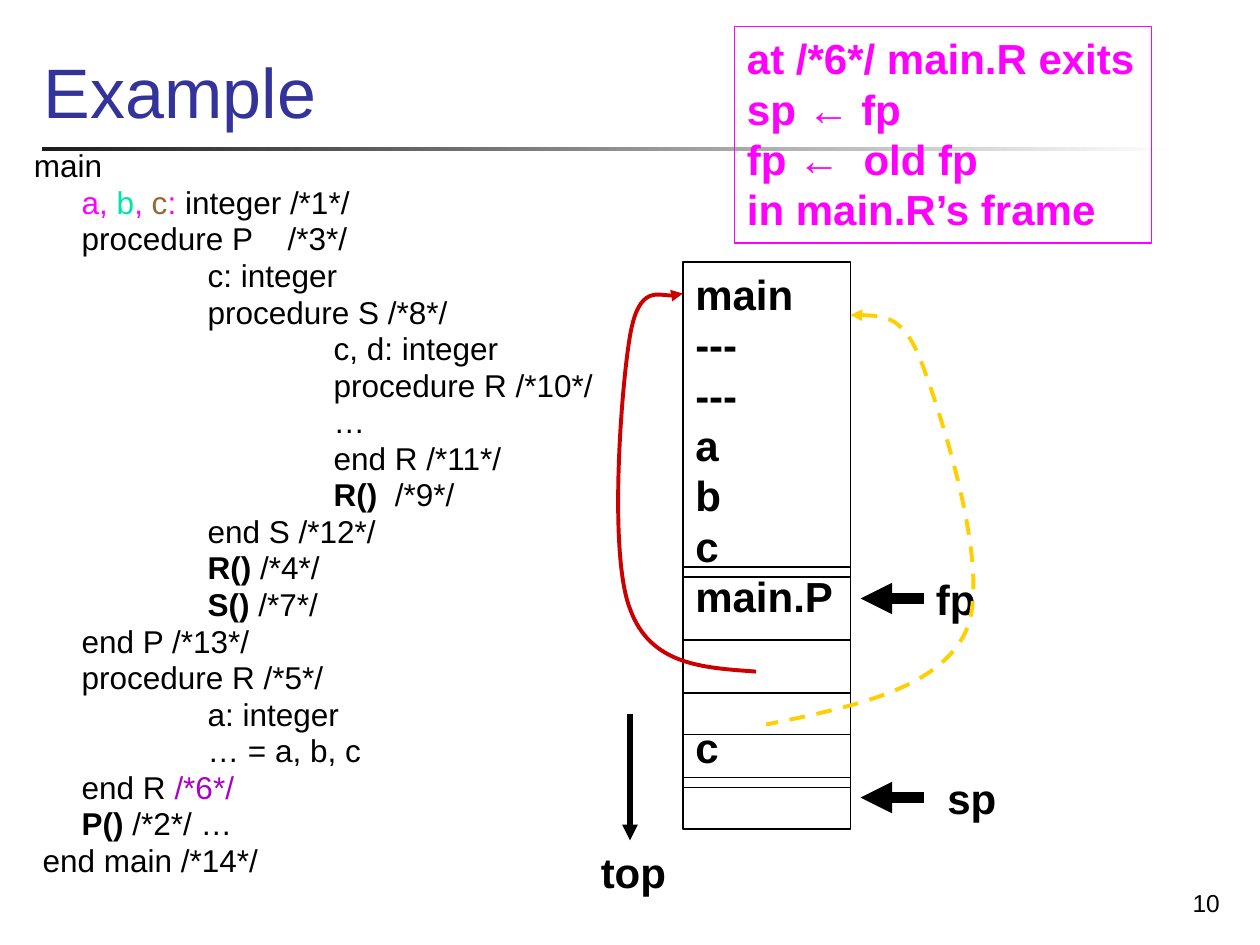
from dataclasses import dataclass
from typing import Optional

from lxml import etree
from pptx import Presentation
from pptx.dml.color import RGBColor
from pptx.enum.dml import MSO_LINE
from pptx.enum.shapes import MSO_CONNECTOR, MSO_SHAPE
from pptx.enum.text import MSO_ANCHOR, PP_ALIGN
from pptx.oxml.ns import qn
from pptx.util import Inches, Pt

RECTANGLE = MSO_SHAPE.RECTANGLE
STRAIGHT = MSO_CONNECTOR.STRAIGHT
DASH = MSO_LINE.DASH
TOP, BOTTOM = MSO_ANCHOR.TOP, MSO_ANCHOR.BOTTOM
LEFT, RIGHT = PP_ALIGN.LEFT, PP_ALIGN.RIGHT
BLACK, MAGENTA = "000000", "FF00FF"
STACK_LEFT, STACK_RIGHT = 5.42, 6.75


@dataclass
class Span:
    text: str
    color: str = BLACK
    bold: bool = False


@dataclass
class CodeLine:
    depth: int
    spans: list[Span]


@dataclass
class Label:
    text: str
    left: float
    top: float
    width: float


@dataclass
class Arrow:
    start: tuple[float, float]
    end: tuple[float, float]
    width: float


@dataclass
class Curve:
    points: list[tuple[float, float]]
    color: str
    arrow_end: str
    dash: Optional[MSO_LINE] = None


def plain(depth: int, text: str) -> CodeLine:
    return CodeLine(depth, [Span(text)])


def call(depth: int, name: str, note: str) -> CodeLine:
    return CodeLine(depth, [Span(name, bold=True), Span(note)])


CODE = [
    plain(0, "main"),
    CodeLine(1, [Span("a,", MAGENTA), Span(" b", "00E4A8"), Span(",", MAGENTA),
                 Span(" c", "996633"), Span(": ", MAGENTA), Span("integer /*1*/")]),
    plain(1, "procedure P    /*3*/"),
    plain(2, "c: integer"),
    plain(2, "procedure S /*8*/"),
    plain(3, "c, d: integer"),
    plain(3, "procedure R /*10*/"),
    plain(3, "…"),
    plain(3, "end R /*11*/"),
    call(3, "R()", "  /*9*/"),
    plain(2, "end S /*12*/"),
    call(2, "R()", " /*4*/"),
    call(2, "S()", " /*7*/"),
    plain(1, "end P /*13*/"),
    plain(1, "procedure R /*5*/"),
    plain(2, "a: integer"),
    plain(2, "… = a, b, c"),
    CodeLine(1, [Span("end R "), Span("/*6*/", "AC00C8")]),
    call(1, "P()", " /*2*/ …"),
    plain(0, " end main /*14*/"),
]
LABELS = [Label("fp", 7.33, 4.5, 0.52), Label("sp", 7.42, 6.08, 0.6),
          Label("top", 4.67, 6.67, 0.73)]
ARROWS = [Arrow((7.33, 4.75), (6.83, 4.75), 6), Arrow((7.33, 6.33), (6.83, 6.33), 6),
          Arrow((5, 5.67), (5, 6.67), 3)]
DIVIDERS = [4.5, 4.58, 5.08, 5.5, 5.83, 6.17, 6.25]
CURVES = [
    Curve([(6, 5.33), (5.58, 5.3), (5.16, 5.28), (5, 4.83), (4.83, 4.39), (4.93, 3.08),
           (5, 2.67), (5.07, 2.25), (5.36, 2.38), (5.42, 2.33)], "CC0000", "tailEnd"),
    Curve([(6.75, 2.5), (6.97, 2.5), (7.18, 2.5), (7.33, 2.92), (7.48, 3.33), (7.87, 4.53),
           (7.67, 5), (7.46, 5.47), (6.77, 5.61), (6.08, 5.75)], "FFCF01", "headEnd", DASH),
]

deck = Presentation()
deck.slide_width, deck.slide_height = Inches(10), Inches(7.5)
page = deck.slides.add_slide(deck.slide_layouts[6])


def rgb(value: str) -> RGBColor:
    return RGBColor.from_string(value)


def add_span(para, text: str, *, size: float, color: str = BLACK, bold: bool = False) -> None:
    span = para.add_run()
    span.text = text
    span.font.name, span.font.size, span.font.bold = "Arial", Pt(size), bold
    span.font.color.rgb = rgb(color)


def write(box, lines: list[str], *, size: float, color: str = BLACK, bold: bool = False,
          align=LEFT, anchor=TOP, wrap: bool = True) -> None:
    frame = box.text_frame
    frame.word_wrap, frame.vertical_anchor = wrap, anchor
    for index, text in enumerate(lines):
        para = frame.add_paragraph() if index else frame.paragraphs[0]
        para.alignment = align
        add_span(para, text, size=size, color=color, bold=bold)


def add_text(left: float, top: float, width: float, height: float, lines: list[str], **style):
    box = page.shapes.add_textbox(Inches(left), Inches(top), Inches(width), Inches(height))
    write(box, lines, **style)
    return box


def add_rectangle(left: float, top: float, width: float, height: float):
    box = page.shapes.add_shape(RECTANGLE, Inches(left), Inches(top),
                                Inches(width), Inches(height))
    box.shadow.inherit = False
    return box


def add_frame(left: float, top: float, width: float, height: float, lines: list[str],
              *, color: str, wrap: bool):
    box = add_rectangle(left, top, width, height)
    box.fill.background()
    box.line.color.rgb, box.line.width = rgb(color), Pt(0.75)
    write(box, lines, size=24, color=color, bold=True, wrap=wrap)
    return box


def add_arrowhead(shape, arrow_end: str) -> None:
    outline = shape._element.spPr.find(qn("a:ln"))
    etree.SubElement(outline, qn("a:" + arrow_end), type="triangle")


def add_line(start: tuple[float, float], end: tuple[float, float], width: float):
    connector = page.shapes.add_connector(STRAIGHT, *map(Inches, start), *map(Inches, end))
    connector.line.color.rgb, connector.line.width = rgb(BLACK), Pt(width)
    etree.SubElement(connector._element.spPr, qn("a:effectLst"))
    return connector


def add_curve(curve: Curve) -> None:
    points = [(Inches(x), Inches(y)) for x, y in curve.points]
    builder = page.shapes.build_freeform(*points[0])
    builder.add_line_segments(points[1:], close=False)
    shape = builder.convert_to_shape()
    shape.shadow.inherit = False
    shape.fill.background()
    shape.line.color.rgb, shape.line.width = rgb(curve.color), Pt(2.25)
    if curve.dash is not None:
        shape.line.dash_style = curve.dash
    add_arrowhead(shape, curve.arrow_end)
    outline = next(shape._element.iter(qn("a:path")))
    segments = outline.findall(qn("a:lnTo"))
    for index in range(0, len(segments), 3):
        bezier = etree.SubElement(outline, qn("a:cubicBezTo"))
        for segment in segments[index:index + 3]:
            bezier.append(segment[0])
            outline.remove(segment)


def add_code(lines: list[CodeLine]) -> None:
    box = add_text(0.17, 1.17, 4.75, 5.08, [], size=18)
    for index, line in enumerate(lines):
        para = box.text_frame.add_paragraph() if index else box.text_frame.paragraphs[0]
        para.line_spacing, para.space_before = 0.8, Pt(3.6)
        margin = line.depth - 0.62 if line.depth else 0
        para._p.get_or_add_pPr().set("marL", str(Inches(margin)))
        for span in line.spans:
            add_span(para, span.text, size=18, color=span.color, bold=span.bold)


rule = add_rectangle(0.33, 1.17, 9, 0.03)
rule.line.fill.background()
rule.fill.gradient()
rule.fill.gradient_angle = 0
for stop, (position, shade) in zip(rule.fill.gradient_stops, [(0, "1C1C1C"), (1, "FFFFFF")]):
    stop.position, stop.color.rgb = position, rgb(shade)

add_text(7.7, 6.83, 2.08, 0.5, ["10"], size=14, align=RIGHT, anchor=BOTTOM)
add_text(0.25, 0, 9.52, 1.1, ["Example"], size=40, color="333399", anchor=BOTTOM)
add_frame(5.83, 0.21, 3.31, 1.72,
          ["at /*6*/ main.R exits", "sp ← fp", "fp ←  old fp", "in main.R’s frame"],
          color=MAGENTA, wrap=False)
stack = add_frame(STACK_LEFT, 2.08, STACK_RIGHT - STACK_LEFT, 4.5,
                  ["main", "---", "---", "a", "b", "c", "main.P", "c"], color=BLACK, wrap=True)
stack.text_frame.paragraphs[-1].space_before = Pt(57.6)

for label in LABELS:
    add_text(label.left, label.top, label.width, 0.51, [label.text],
             size=24, bold=True, wrap=False)
for arrow in ARROWS:
    add_arrowhead(add_line(arrow.start, arrow.end, arrow.width), "tailEnd")
for height in DIVIDERS:
    add_line((STACK_LEFT, height), (STACK_RIGHT, height), 0.75)
for curve in CURVES:
    add_curve(curve)
add_code(CODE)

deck.save("out.pptx")
